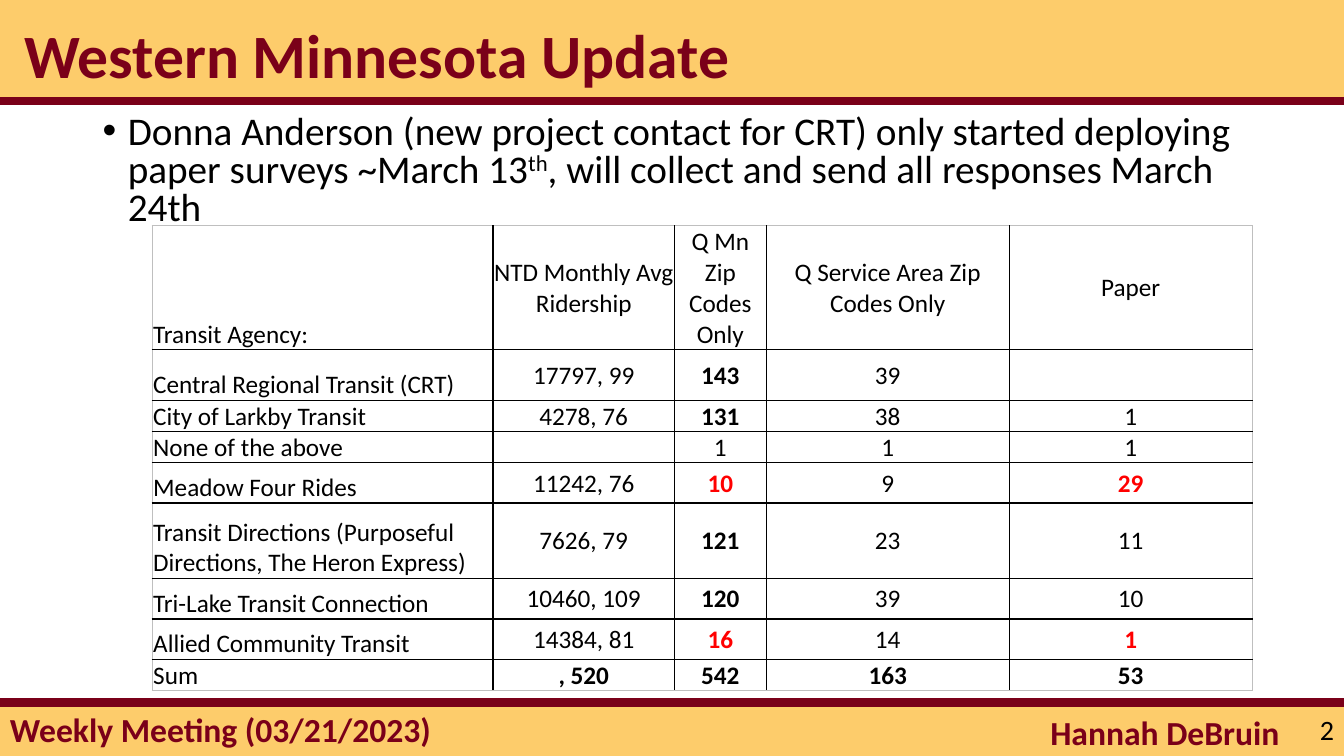
from lxml.etree import SubElement
from pptx import Presentation
from pptx.dml.color import RGBColor
from pptx.enum.shapes import MSO_CONNECTOR, MSO_SHAPE
from pptx.enum.text import MSO_ANCHOR as ANCHOR, PP_ALIGN as ALIGN
from pptx.oxml.ns import qn
from pptx.util import Inches, Pt

MAROON, GOLD, BLACK, RED, GRAY = "7A0019", "FDCC6B", "000000", "FF0000", "BFBFBF"


def color(hex_code):
    """Turn a hex string into a colour."""
    return RGBColor.from_string(hex_code)


def set_border(cell, side, hex_code):
    """Draw a one point border on one side (L, R, T or B) of a cell."""
    line = SubElement(cell._tc.get_or_add_tcPr(), qn(f"a:ln{side}"), w=str(Pt(1)))
    fill = SubElement(line, qn("a:solidFill"))
    SubElement(fill, qn("a:srgbClr"), val=hex_code)


class SlideBuilder:
    """Holds the slide and its font and adds elements to it."""

    def __init__(self, slide, font="Calibri"):
        """Keep the slide and the font."""
        self.slide = slide
        self.font = font

    def band(self, top, height):
        """Add a full-width gold band."""
        shape = self.slide.shapes.add_shape(
            MSO_SHAPE.RECTANGLE, 0, Inches(top), Inches(13.33), Inches(height))
        shape.shadow.inherit = False
        shape.fill.solid()
        shape.fill.fore_color.rgb = color(GOLD)
        shape.line.fill.background()

    def rule(self, top):
        """Add a full-width maroon line."""
        line = self.slide.shapes.add_connector(
            MSO_CONNECTOR.STRAIGHT, 0, Inches(top), Inches(13.33), Inches(top))
        line.line.color.rgb = color(MAROON)
        line.line.width = Pt(6)
        SubElement(line._element.spPr, qn("a:effectLst"))

    def run(self, paragraph, text, size, hex_code=BLACK, bold=False):
        """Add one styled run and return it."""
        run = paragraph.add_run()
        run.text = text
        run.font.name, run.font.size, run.font.bold = self.font, Pt(size), bold
        run.font.color.rgb = color(hex_code)
        return run

    def text_box(self, box, anchor=ANCHOR.MIDDLE, align=ALIGN.LEFT, spacing=0.9):
        """Add a wrapping text box and return its first paragraph."""
        frame = self.slide.shapes.add_textbox(*map(Inches, box)).text_frame
        frame.word_wrap = True
        frame.vertical_anchor = anchor
        paragraph = frame.paragraphs[0]
        paragraph.alignment = align
        paragraph.line_spacing = spacing
        return paragraph

    def bullet(self, box, parts):
        """Add a bulleted paragraph from (text, is superscript) parts."""
        paragraph = self.text_box(box, ANCHOR.TOP, spacing=0.8)
        paragraph.space_before = Pt(10)
        props = paragraph._p.get_or_add_pPr()
        props.set("marL", str(Inches(0.25)))
        props.set("indent", str(-Inches(0.25)))
        SubElement(props, qn("a:buFont"), typeface="Arial")
        SubElement(props, qn("a:buChar"), char="•")
        for text, superscript in parts:
            run = self.run(paragraph, text, 28)
            if superscript:
                run.font._element.set("baseline", "30000")

    def table(self, left, top, widths, heights, rows, emphasis):
        """Add a bordered table; emphasis maps (row, column) to a bold colour."""
        table = self.slide.shapes.add_table(
            len(rows), len(widths), Inches(left), Inches(top),
            Inches(sum(widths)), Inches(sum(heights))).table
        for column, width in zip(table.columns, widths):
            column.width = Inches(width)
        for row, height in zip(table.rows, heights):
            row.height = Inches(height)
        last_row, last_col = len(rows) - 1, len(widths) - 1
        for r, values in enumerate(rows):
            for c, value in enumerate(values):
                cell = table.cell(r, c)
                cell.margin_left = cell.margin_right = cell.margin_top = Inches(0.01)
                cell.margin_bottom = 0
                cell.vertical_anchor = ANCHOR.MIDDLE if c else ANCHOR.BOTTOM
                outer = {"L": c == 0, "R": c == last_col, "T": r == 0, "B": r == last_row}
                for side, on_edge in outer.items():
                    set_border(cell, side, GRAY if on_edge else BLACK)
                cell.fill.background()
                paragraph = cell.text_frame.paragraphs[0]
                paragraph.alignment = ALIGN.CENTER if c else ALIGN.LEFT
                if value:
                    self.run(paragraph, value, 18, emphasis.get((r, c), BLACK),
                             (r, c) in emphasis)


presentation = Presentation()
presentation.slide_width, presentation.slide_height = Inches(13.33), Inches(7.5)
builder = SlideBuilder(presentation.slides.add_slide(presentation.slide_layouts[6]))

builder.band(0, 1)
builder.band(6.97, 0.53)

title = builder.text_box((0.14, 0.2, 11.52, 0.8), ANCHOR.TOP)
builder.run(title, "Western Minnesota Update", 44, MAROON, True)
meeting = builder.text_box((0, 7.02, 6.67, 0.48))
builder.run(meeting, "Weekly Meeting (03/21/2023)", 24, MAROON, True)
presenter = builder.text_box((8.33, 7.02, 4.46, 0.53), align=ALIGN.RIGHT)
builder.run(presenter, "Hannah DeBruin", 24, MAROON, True)
page_number = builder.text_box((10.33, 6.97, 3, 0.53), align=ALIGN.RIGHT, spacing=1.0)
builder.run(page_number, "2", 20)

for rule_top in (6.97, 1):
    builder.rule(rule_top)

builder.bullet((0.92, 1.1, 11.5, 1.36), [
    ("Donna Anderson (new project contact for CRT) only started deploying "
     "paper surveys ~March 13", False),
    ("th", True),
    (", will collect and send all responses March 24th", False),
])

responses = [
    ("Transit Agency:", "NTD Monthly Avg Ridership", "Q Mn Zip Codes Only",
     "Q Service Area Zip Codes Only", "Paper"),
    ("Central Regional Transit (CRT)", "17797, 99", "143", "39", ""),
    ("City of Larkby Transit", "4278, 76", "131", "38", "1"),
    ("None of the above", "", "1", "1", "1"),
    ("Meadow Four Rides", "11242, 76", "10", "9", "29"),
    ("Transit Directions (Purposeful Directions, The Heron Express)",
     "7626, 79", "121", "23", "11"),
    ("Tri-Lake Transit Connection", "10460, 109", "120", "39", "10"),
    ("Allied Community Transit", "14384, 81", "16", "14", "1"),
    ("Sum", ", 520", "542", "163", "53"),
]
emphasis = {(row, 2): BLACK for row in (1, 2, 5, 6)}
emphasis |= {(8, column): BLACK for column in range(1, 5)}
emphasis |= {(row, column): RED for row in (4, 7) for column in (2, 4)}
builder.table(1.51, 2.24, [3.38, 1.8, 0.91, 2.41, 2.41],
              [1.23, 0.5, 0.25, 0.25, 0.4, 0.75, 0.4, 0.4, 0.25],
              responses, emphasis)

presentation.save("out.pptx")
